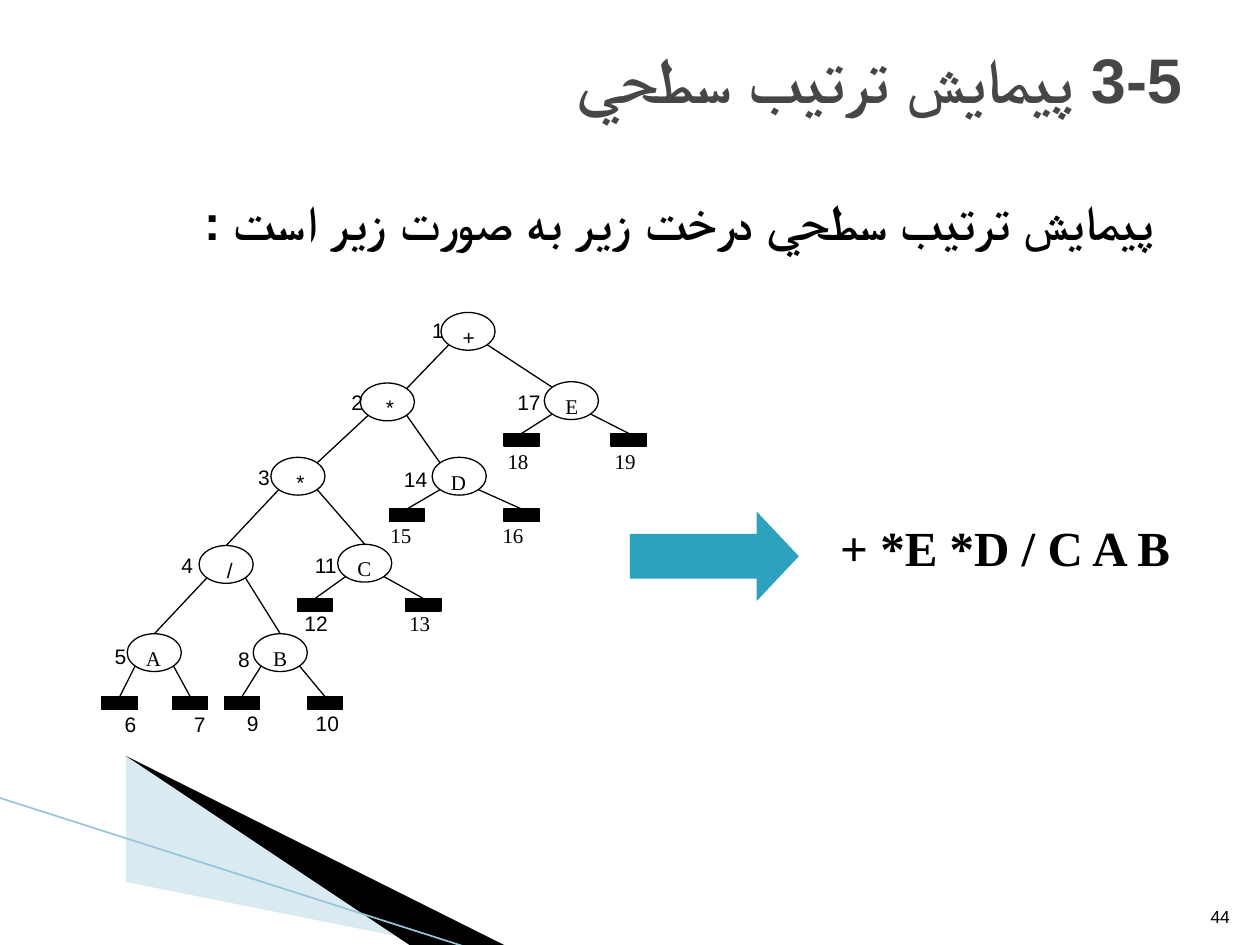
from lxml import etree
from pptx import Presentation
from pptx.dml.color import RGBColor
from pptx.enum.shapes import MSO_CONNECTOR, MSO_SHAPE
from pptx.enum.text import MSO_ANCHOR, PP_ALIGN
from pptx.oxml.ns import qn
from pptx.util import Inches, Pt

STRAIGHT = MSO_CONNECTOR.STRAIGHT
OVAL, BAR, ARROW = MSO_SHAPE.OVAL, MSO_SHAPE.RECTANGLE, MSO_SHAPE.RIGHT_ARROW
TOP, MIDDLE, BOTTOM = MSO_ANCHOR.TOP, MSO_ANCHOR.MIDDLE, MSO_ANCHOR.BOTTOM
LEFT, RIGHT, JUSTIFY = PP_ALIGN.LEFT, PP_ALIGN.RIGHT, PP_ALIGN.JUSTIFY

COLORS = {"black": "000000", "white": "FFFFFF", "title": "464646",
          "arrow": "2DA2BF", "wave": "A0CBDC", "edge": "97C5D8"}

NODE_WIDTH, NODE_HEIGHT = 0.43, 0.3
LEAF_WIDTH, LEAF_HEIGHT = 0.28, 0.1
LABEL_WIDTH, LABEL_HEIGHT = 0.43, 0.2
DIAGONAL = 0.71

# number: symbol, node position, label position, parent, side, enters at top
NODES = {
    1: ("+", (3.5, 2.48), (3.19, 2.47), None, 0, False),
    2: ("*", (2.86, 3.04), (2.55, 3.04), 1, -1, False),
    17: ("E", (4.32, 3.03), (3.96, 3.04), 1, 1, False),
    3: ("*", (2.15, 3.63), (1.81, 3.64), 2, -1, False),
    14: ("D", (3.43, 3.63), (3.06, 3.65), 2, 1, False),
    4: ("/", (1.58, 4.33), (1.2, 4.34), 3, -1, True),
    11: ("C", (2.68, 4.32), (2.34, 4.34), 3, 1, True),
    5: ("A", (1.01, 5.03), (0.67, 5.06), 4, -1, True),
    8: ("B", (2.01, 5.03), (1.65, 5.08), 4, 1, True),
}
# number: bar position, label position, parent, side, right to left
LEAVES = {
    18: ((4, 3.44), (3.93, 3.51), 17, -1, False),
    19: ((4.85, 3.44), (4.78, 3.51), 17, 1, False),
    15: ((3.09, 4.04), (3, 4.1), 14, -1, False),
    16: ((4, 4.04), (3.89, 4.1), 14, 1, False),
    12: ((2.36, 4.75), (2.27, 4.8), 11, -1, True),
    13: ((3.22, 4.75), (3.15, 4.8), 11, 1, False),
    6: ((0.81, 5.53), (0.75, 5.6), 5, -1, True),
    7: ((1.37, 5.53), (1.3, 5.6), 5, 1, True),
    9: ((1.78, 5.53), (1.72, 5.59), 8, -1, True),
    10: ((2.44, 5.53), (2.36, 5.59), 8, 1, True),
}


class SlideBuilder:
    """Holds the slide and its style, with a method for each kind of element."""

    font = "Times New Roman"
    complex_font = "Arial"
    line_width = 0.75

    def __init__(self, slide):
        self.shapes = slide.shapes

    def color(self, name):
        return RGBColor.from_string(COLORS[name])

    def fill_text(self, frame, text, size=12, color="black", bold=False,
                  align=RIGHT, rtl=True, anchor=TOP, before=0):
        frame.word_wrap = True
        frame.vertical_anchor = anchor
        para = frame.paragraphs[0]
        span = para.add_run()
        span.text = text
        para.alignment = align
        para.space_before = Pt(before)
        para.font.name = self.font
        para.font.size = Pt(size)
        para.font.bold = bold
        para.font.color.rgb = self.color(color)
        if rtl:
            properties = para._p.get_or_add_pPr()
            properties.set("rtl", "1")
            defaults = properties.find(qn("a:defRPr"))
            etree.SubElement(defaults, qn("a:cs"), typeface=self.complex_font)

    def text(self, left, top, width, height, text, **style):
        box = self.shapes.add_textbox(*map(Inches, (left, top, width, height)))
        self.fill_text(box.text_frame, text, **style)

    def paint(self, shape, fill, line=None):
        shape.shadow.inherit = False
        shape.fill.solid()
        shape.fill.fore_color.rgb = self.color(fill)
        if line:
            shape.line.color.rgb = self.color(line)
            shape.line.width = Pt(self.line_width)
        else:
            shape.line.fill.background()

    def shape(self, kind, left, top, width, height, fill, line=None):
        shape = self.shapes.add_shape(kind, *map(Inches, (left, top, width, height)))
        self.paint(shape, fill, line)
        return shape

    def outline(self, points, fill, opacity=100):
        builder = self.shapes.build_freeform(*points[0], scale=Inches(1))
        builder.add_line_segments(points[1:], close=True)
        shape = builder.convert_to_shape()
        self.paint(shape, fill)
        if opacity < 100:
            swatch = shape._element.spPr.find(qn("a:solidFill"))[0]
            etree.SubElement(swatch, qn("a:alpha"), val=str(opacity * 1000))

    def line(self, start, end, color="black", width=line_width):
        line = self.shapes.add_connector(STRAIGHT, *map(Inches, (*start, *end)))
        line.line.color.rgb = self.color(color)
        line.line.width = Pt(width)
        etree.SubElement(line._element.spPr, qn("a:effectLst"))
        return line


def node_point(number, side, vertical):
    """Return the point on a node's rim in the given direction."""
    left, top = NODES[number][1]
    reach = DIAGONAL if side else 1
    return (left + NODE_WIDTH / 2 * (1 + side * reach),
            top + NODE_HEIGHT / 2 * (1 + vertical * reach))


def draw_tree(page):
    """Draw the numbered expression tree."""
    for number, (symbol, place, label, parent, side, at_top) in NODES.items():
        node = page.shape(OVAL, *place, NODE_WIDTH, NODE_HEIGHT, "white", "black")
        page.fill_text(node.text_frame, symbol)
        page.text(*label, LABEL_WIDTH, LABEL_HEIGHT, str(number))
        if parent:
            entry = node_point(number, 0 if at_top else -side, -1)
            page.line(node_point(parent, side, 1), entry)
    for number, (place, label, parent, side, rtl) in LEAVES.items():
        bar = page.shape(BAR, *place, LEAF_WIDTH, LEAF_HEIGHT, "black", "black")
        branch = page.line(node_point(parent, side, 1), place)
        branch.end_connect(bar, 0)
        page.text(*label, LABEL_WIDTH, LABEL_HEIGHT, str(number),
                  rtl=rtl, align=RIGHT if rtl else LEFT)


def main():
    """Build the deck and save it."""
    deck = Presentation()
    deck.slide_width, deck.slide_height = Inches(10), Inches(7.5)
    page = SlideBuilder(deck.slides.add_slide(deck.slide_layouts[6]))

    page.outline([(0.55, 6.51), (5.95, 7.51), (4.56, 7.51), (0.55, 6.5)], "wave", 40)
    page.outline([(0.53, 6.49), (4.57, 7.51), (3.72, 7.52), (0.54, 6.5)], "black")
    page.line((-0.01, 6.33), (3.71, 7.52), "edge", 0.95)

    page.text(0.98, 0.28, 8.5, 0.69, "3-5 پيمايش ترتيب سطحي",
              size=36, color="title", bold=True, anchor=MIDDLE)
    page.text(1.14, 1.47, 8.11, 0.57, "پيمايش ترتيب سطحي درخت زير به صورت زير است :",
              size=28, bold=True, align=JUSTIFY, before=3)
    draw_tree(page)
    arrow = page.shape(ARROW, 5, 4.06, 1.34, 0.71, "arrow")
    arrow.adjustments[0], arrow.adjustments[1] = 0.5, 0.47
    page.text(6.57, 4.06, 2.91, 0.57, "+ *E *D / C A B",
              size=28, bold=True, align=JUSTIFY, rtl=False, before=3)
    page.text(9.46, 7.01, 0.4, 0.4, "44", size=10, anchor=BOTTOM)

    deck.save("out.pptx")


if __name__ == "__main__":
    main()
